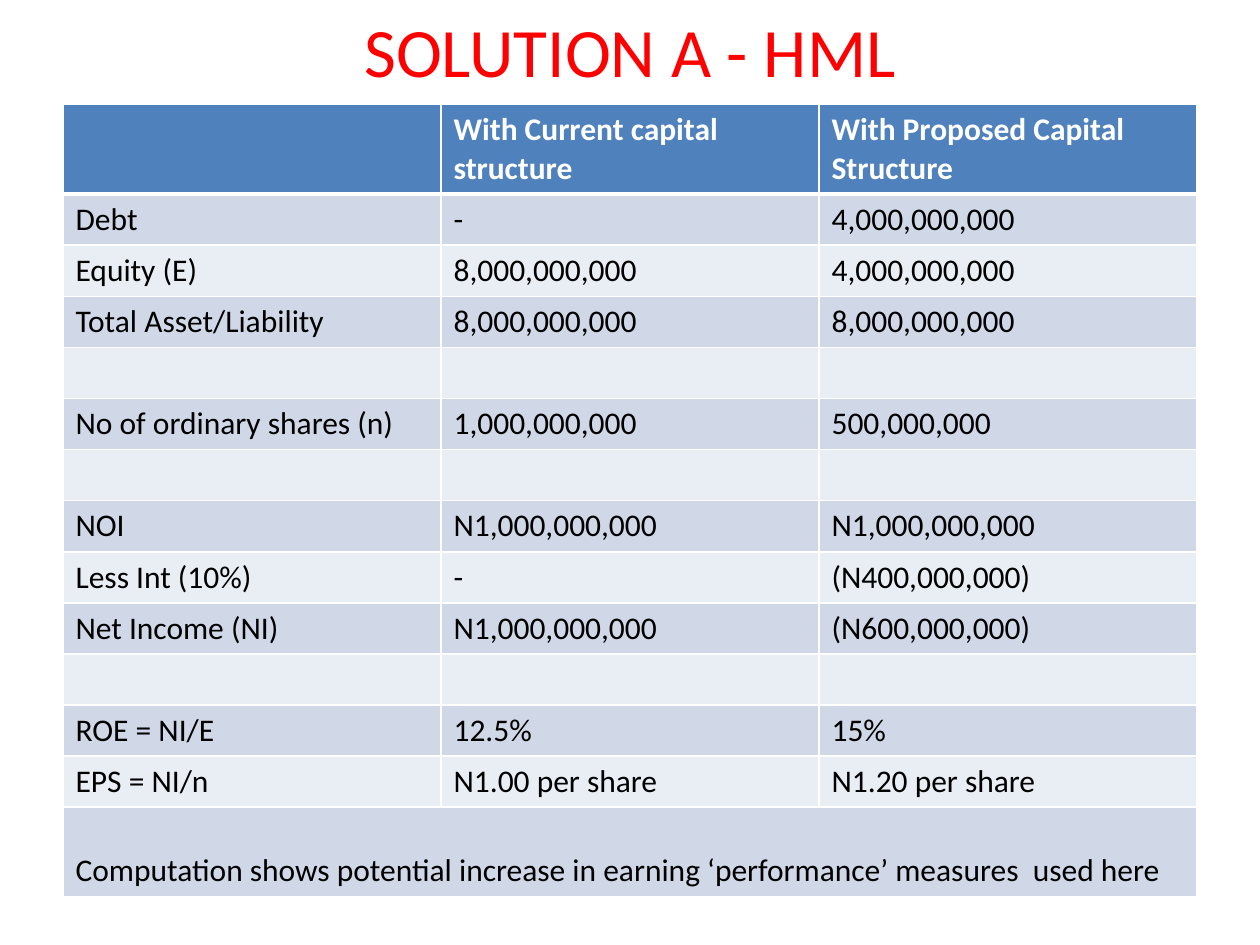
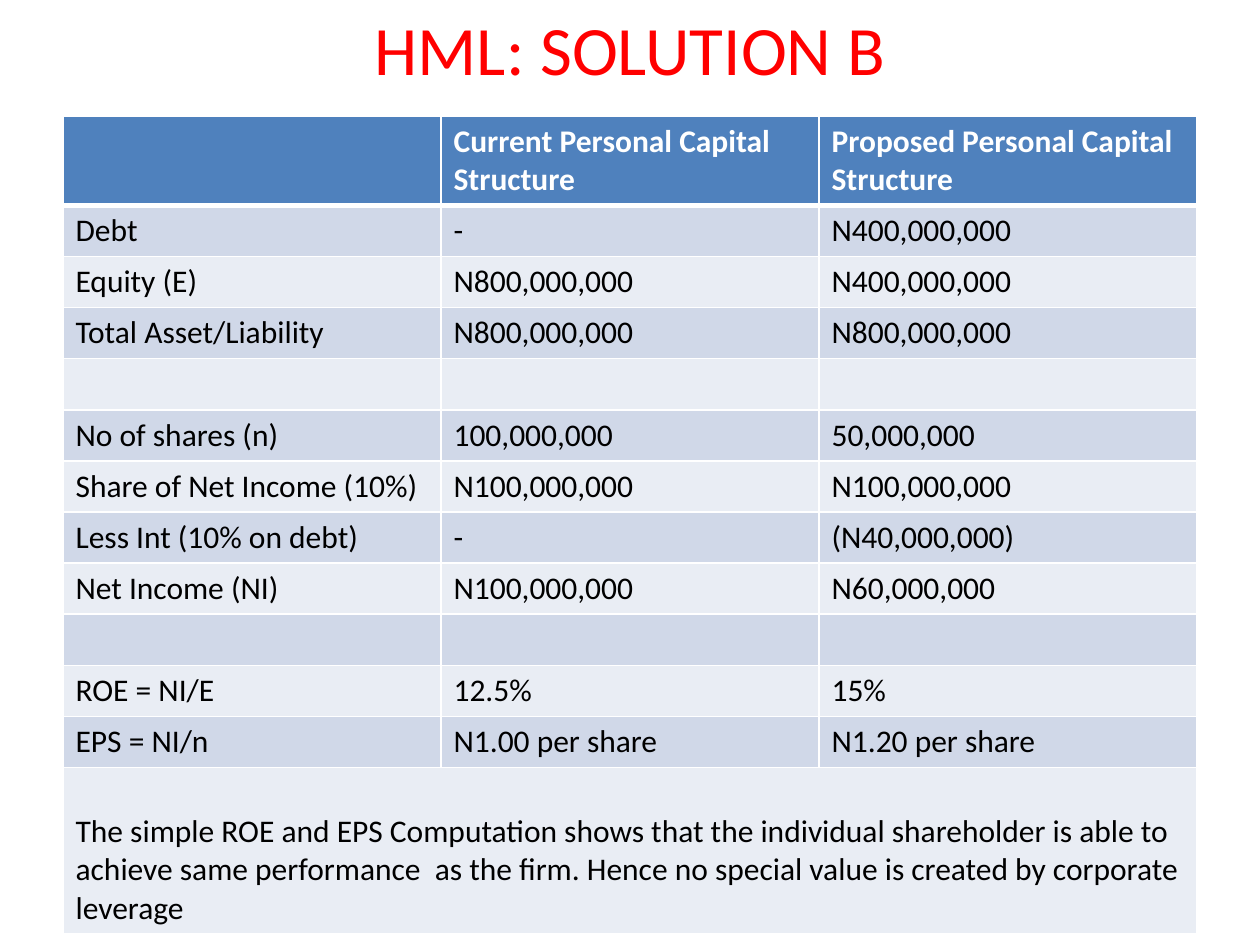
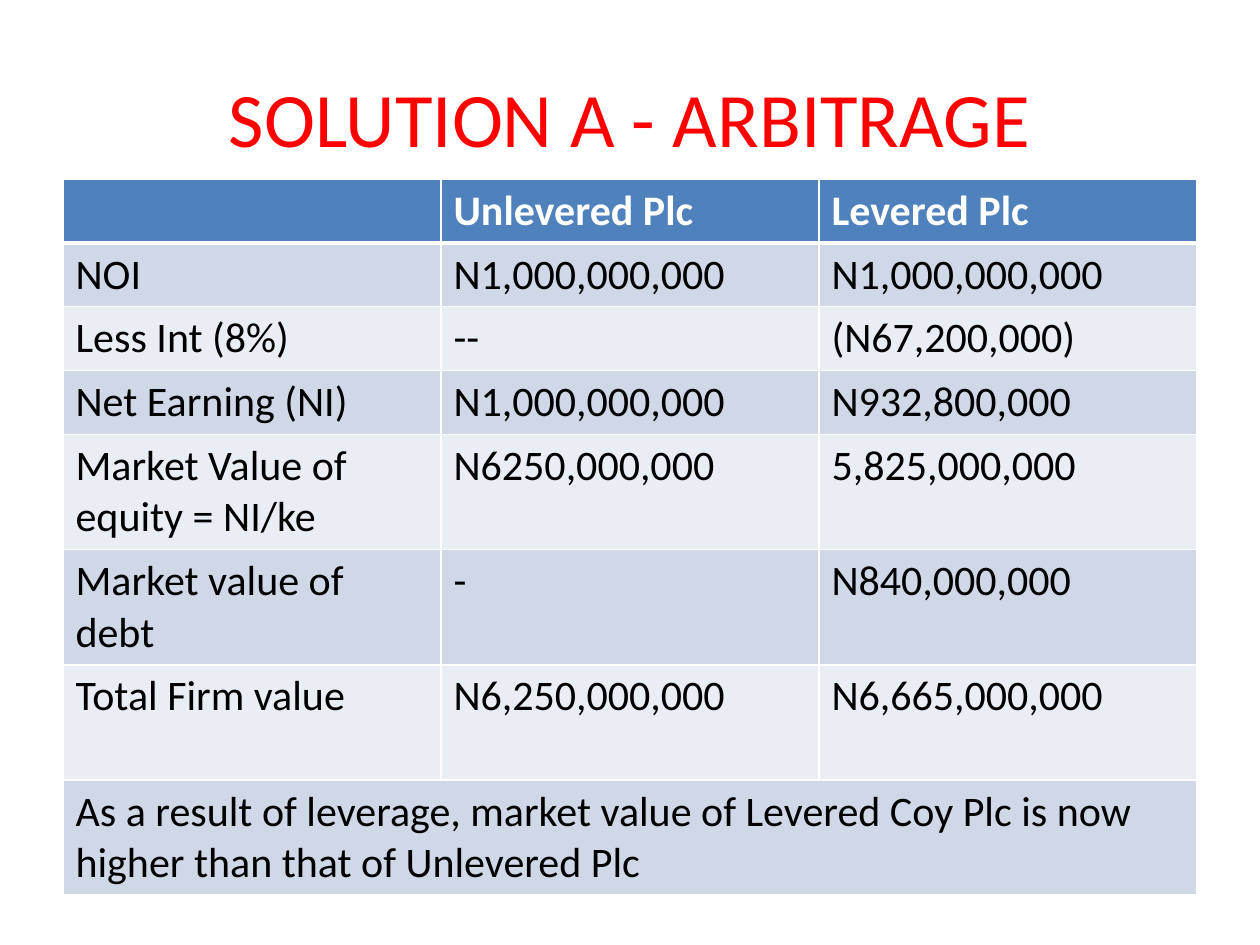
from lxml.etree import SubElement
from pptx import Presentation
from pptx.dml.color import RGBColor
from pptx.enum.text import MSO_ANCHOR, MSO_AUTO_SIZE, PP_ALIGN
from pptx.oxml.ns import qn
from pptx.util import Inches, Pt

COLORS = {
    "title": "FF0000",
    "header": "4F81BD",
    "header_text": "FFFFFF",
    "text": "000000",
    "border": "FFFFFF",
    "odd_row": "D0D8E8",
    "even_row": "E9EDF4",
}
FONT = "Calibri"
LEFT, WIDTH = 0.5, 9
COLUMNS = 3
LINE_SPACING = 1.22
CELL_PADDING = 0.1
TITLE_ONLY = 5
BLANK_ROW = ("", "", "")

HML_ROWS = [
    ("", "With Current capital structure", "With Proposed Capital Structure"),
    ("Debt", "-", "4,000,000,000"),
    ("Equity (E)", "8,000,000,000", "4,000,000,000"),
    ("Total Asset/Liability", "8,000,000,000", "8,000,000,000"),
    BLANK_ROW,
    ("No of ordinary shares (n)", "1,000,000,000", "500,000,000"),
    BLANK_ROW,
    ("NOI", "N1,000,000,000", "N1,000,000,000"),
    ("Less Int (10%)", "-", "(N400,000,000)"),
    ("Net Income (NI)", "N1,000,000,000", "(N600,000,000)"),
    BLANK_ROW,
    ("ROE = NI/E", "12.5%", "15%"),
    ("EPS = NI/n", "N1.00 per share", "N1.20 per share"),
    ("Computation shows potential increase in earning ‘performance’ measures  used here",),
]
SHAREHOLDER_ROWS = [
    ("", "Current Personal Capital Structure", "Proposed Personal Capital Structure"),
    ("Debt", "-", "N400,000,000"),
    ("Equity (E)", "N800,000,000", "N400,000,000"),
    ("Total Asset/Liability", "N800,000,000", "N800,000,000"),
    BLANK_ROW,
    ("No of shares (n)", "100,000,000", "50,000,000"),
    ("Share of Net Income (10%)", "N100,000,000", "N100,000,000"),
    ("Less Int (10% on debt)", "-", "(N40,000,000)"),
    ("Net Income (NI)", "N100,000,000", "N60,000,000"),
    BLANK_ROW,
    ("ROE = NI/E", "12.5%", "15%"),
    ("EPS = NI/n", "N1.00 per share", "N1.20 per share"),
    ("The simple ROE and EPS Computation shows that the individual shareholder is able "
     "to achieve same performance  as the firm. Hence no special value is created by "
     "corporate leverage",),
]
ARBITRAGE_ROWS = [
    ("", "Unlevered Plc", "Levered Plc"),
    ("NOI", "N1,000,000,000", "N1,000,000,000"),
    ("Less Int (8%)", "--", "(N67,200,000)"),
    ("Net Earning (NI)", "N1,000,000,000", "N932,800,000"),
    ("Market Value of equity = NI/ke", "N6250,000,000", "5,825,000,000"),
    ("Market value of debt", "-", "N840,000,000"),
    ("Total Firm value", "N6,250,000,000", "N6,665,000,000"),
    ("As a result of leverage, market value of Levered Coy Plc is now higher than "
     "that of Unlevered Plc",),
]


def rgb(name):
    return RGBColor.from_string(COLORS[name])


def format_font(font, size, color, bold=False):
    font.name = FONT
    font.size = Pt(size)
    font.bold = bold
    font.color.rgb = rgb(color)


def add_title(page, text, top, height, size):
    title = page.shapes.title
    title.left, title.top = Inches(LEFT), Inches(top)
    title.width, title.height = Inches(WIDTH), Inches(height)
    frame = title.text_frame
    frame.text = text
    frame.auto_size = MSO_AUTO_SIZE.NONE
    frame.vertical_anchor = MSO_ANCHOR.MIDDLE
    para = frame.paragraphs[0]
    para.alignment = PP_ALIGN.CENTER
    format_font(para.runs[0].font, size, "title")


def set_borders(cell, row_index):
    """Draw thin borders, with a thick one between header and body."""
    widths = {
        "a:lnL": 1,
        "a:lnR": 1,
        "a:lnT": 3 if row_index == 1 else 1,
        "a:lnB": 3 if row_index == 0 else 1,
    }
    properties = cell._tc.get_or_add_tcPr()
    for tag, width in widths.items():
        line = SubElement(properties, qn(tag), w=str(Pt(width)))
        fill = SubElement(line, qn("a:solidFill"))
        SubElement(fill, qn("a:srgbClr"), val=COLORS["border"])


def format_cell(cell, row_index, size):
    is_header = row_index == 0
    set_borders(cell, row_index)
    band = "odd_row" if row_index % 2 else "even_row"
    cell.fill.solid()
    cell.fill.fore_color.rgb = rgb("header" if is_header else band)
    for span in cell.text_frame.paragraphs[0].runs:
        format_font(span.font, size, "header_text" if is_header else "text", is_header)


def add_comparison(page, rows, top, size, tall_rows):
    """Add a table; tall_rows maps a row number to its lines of text, else one.

    A row with a single text is a note across all columns.
    """
    heights = [
        Inches(CELL_PADDING + tall_rows.get(index, 1) * size * LINE_SPACING / 72)
        for index in range(len(rows))
    ]
    table = page.shapes.add_table(
        len(rows), COLUMNS, Inches(LEFT), Inches(top), Inches(WIDTH), sum(heights)
    ).table
    for row_index, texts in enumerate(rows):
        table.rows[row_index].height = heights[row_index]
        for column, text in enumerate(texts):
            if text:
                table.cell(row_index, column).text = text
        for column in range(COLUMNS):
            format_cell(table.cell(row_index, column), row_index, size)
        if len(texts) == 1:
            note = table.cell(row_index, 0)
            note.merge(table.cell(row_index, COLUMNS - 1))
            note.vertical_anchor = MSO_ANCHOR.BOTTOM


def add_page(deck):
    return deck.slides.add_slide(deck.slide_layouts[TITLE_ONLY])


def main():
    deck = Presentation()
    deck.slide_width, deck.slide_height = Inches(10), Inches(7.5)

    page = add_page(deck)
    add_title(page, "SOLUTION A - HML", 0.17, 0.45, 39.6)
    add_comparison(page, HML_ROWS, 0.83, 18, {0: 2, 13: 2})

    page = add_page(deck)
    add_title(page, "HML: SOLUTION B", 0.17, 0.42, 39.6)
    add_comparison(page, SHAREHOLDER_ROWS, 0.92, 18, {0: 2, 12: 4})

    page = add_page(deck)
    add_title(page, "SOLUTION A - ARBITRAGE", 0.3, 1.25, 44)
    add_comparison(page, ARBITRAGE_ROWS, 1.42, 24, {4: 2, 5: 2, 6: 2, 7: 2})

    deck.save("out.pptx")


if __name__ == "__main__":
    main()
